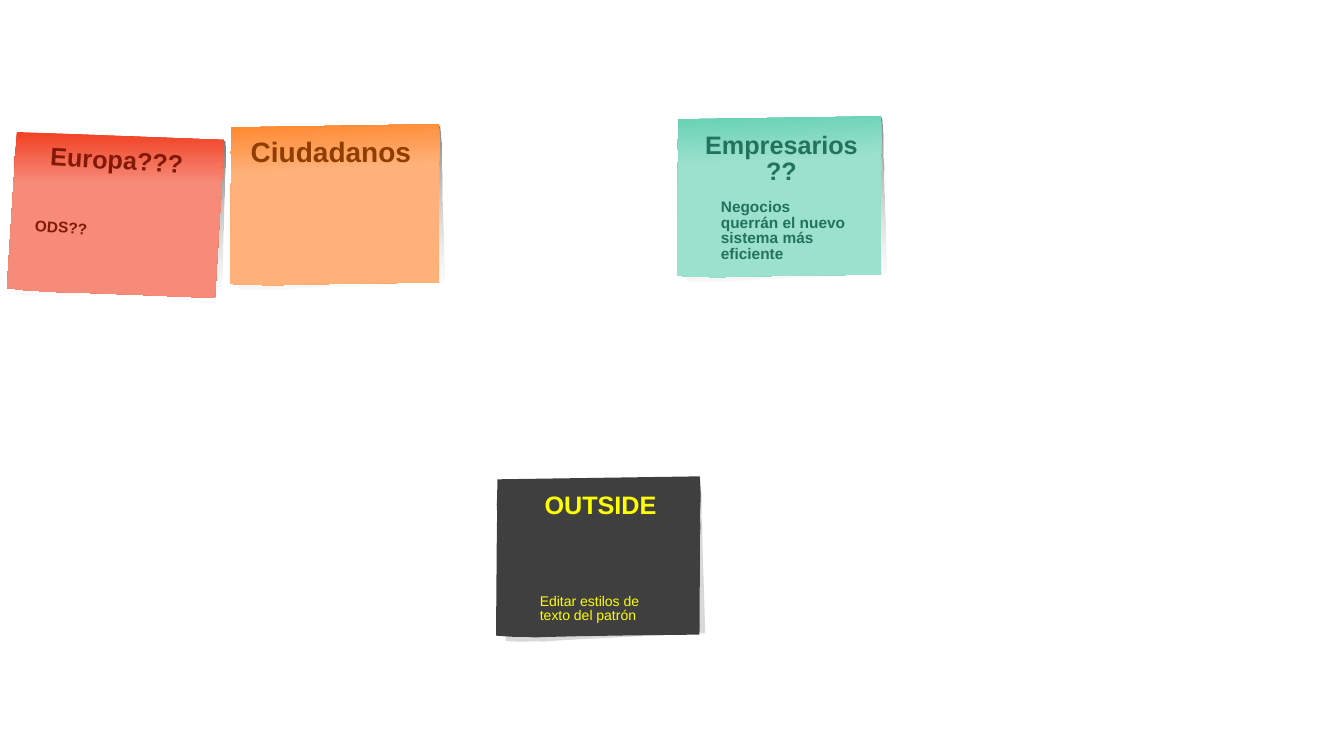
from dataclasses import dataclass

from lxml.etree import SubElement
from pptx import Presentation
from pptx.dml.color import RGBColor
from pptx.enum.text import PP_ALIGN as Align
from pptx.oxml.ns import qn
from pptx.shapes.autoshape import Shape
from pptx.shapes.shapetree import SlideShapes
from pptx.util import Inches, Pt

PX = Inches(1) / 100.8
FONT = "Arial"

# Curled sheet, clockwise from its top right corner.
SHEET = [
    (217, 8), (217, 27), (216, 38), (215, 48), (215, 58), (214, 67), (213, 81),
    (211, 117), (208, 166), (136, 163), (83, 161), (48, 160), (40, 160),
    (32, 159), (16, 158), (0, 156), (7, 46), (8, 35), (8, 25), (9, 16), (10, 0),
]


@dataclass(frozen=True)
class Stop:
    """A gradient stop, with position and opacity in percent."""
    position: int
    color: str
    opacity: int = 100


@dataclass(frozen=True)
class Label:
    """A text block on a note."""
    text: str
    left: int
    top: int
    width: int
    height: int
    size: int
    bold: bool = True
    centered: bool = False
    tilt: float = 0


@dataclass(frozen=True)
class Note:
    """A sticky note with its shadow and its labels."""
    left: int
    top: int
    width: int
    tilt: float
    ink: str
    paper: list[Stop]
    shadow: list[Stop]
    labels: list[Label]
    height: int = 166


def emu(pixels: float) -> int:
    """Turn pixels into EMU."""
    return round(pixels * PX)


def rgb(color: str) -> RGBColor:
    """Turn a hex string into a colour."""
    return RGBColor.from_string(color)


def fade(top: str, bottom: str) -> list[Stop]:
    """Give the paper shading that ends below the glued edge."""
    return [Stop(0, top), Stop(31, bottom), Stop(100, bottom)]


def fill_sheet(sheet: Shape, stops: list[Stop]) -> None:
    """Fill with one colour, or with a gradient running downwards."""
    sheet.fill.solid()
    sheet.fill.fore_color.rgb = rgb(stops[0].color)
    if len(stops) == 1:
        return
    solid = sheet.element.spPr.find(qn("a:solidFill"))
    gradient = solid.makeelement(qn("a:gradFill"), {"rotWithShape": "1"})
    solid.getparent().replace(solid, gradient)
    stop_list = SubElement(gradient, qn("a:gsLst"))
    for stop in stops:
        mark = SubElement(stop_list, qn("a:gs"), pos=str(stop.position * 1000))
        color = SubElement(mark, qn("a:srgbClr"), val=stop.color)
        if stop.opacity < 100:
            SubElement(color, qn("a:alpha"), val=str(stop.opacity * 1000))
    SubElement(gradient, qn("a:lin"), ang="5400000", scaled="0")


def draw_sheet(shapes: SlideShapes, left: int, top: int, width: int, height: int,
               tilt: float, stops: list[Stop]) -> None:
    """Draw the curled outline stretched to a frame."""
    builder = shapes.build_freeform(*SHEET[0], scale=PX)
    builder.add_line_segments(SHEET[1:], close=True)
    sheet = builder.convert_to_shape()
    sheet.left, sheet.top = emu(left), emu(top)
    sheet.width, sheet.height = emu(width), emu(height)
    sheet.rotation = tilt
    sheet.shadow.inherit = False
    sheet.line.fill.background()
    fill_sheet(sheet, stops)


def draw_label(shapes: SlideShapes, label: Label, ink: str) -> None:
    """Write one label in the ink of its note."""
    box = shapes.add_textbox(emu(label.left), emu(label.top),
                             emu(label.width), emu(label.height))
    box.rotation = label.tilt
    frame = box.text_frame
    frame.word_wrap = True
    frame.text = label.text
    paragraph = frame.paragraphs[0]
    paragraph.line_spacing = 0.85
    paragraph.alignment = Align.CENTER if label.centered else Align.LEFT
    font = paragraph.runs[0].font
    font.name, font.size, font.bold = FONT, Pt(label.size), label.bold
    font.color.rgb = rgb(ink)


def draw_note(shapes: SlideShapes, note: Note) -> None:
    """Draw the shadow, the paper and the labels of a note."""
    draw_sheet(shapes, note.left + 7, note.top + 5, note.width - 4,
               note.height - 3, note.tilt - 2, note.shadow)
    draw_sheet(shapes, note.left, note.top, note.width, note.height,
               note.tilt, note.paper)
    for label in note.labels:
        draw_label(shapes, label, note.ink)


SOFT_SHADOW = [Stop(0, "000000", 58), Stop(100, "949494", 0)]
LEAN = -3.1

NOTES = [
    Note(7, 132, 217, 0, "821908", fade("F14124", "F78B79"), SOFT_SHADOW, [
        Label("Europa???", 23, 144, 186, 58, 18, centered=True, tilt=3.5),
        Label("ODS??", 25, 219, 182, 22, 11, tilt=3.7),
    ]),
    Note(226, 122, 217, LEAN, "903D00", fade("FF8021", "FEB179"), SOFT_SHADOW, [
        Label("Ciudadanos", 237, 135, 188, 55, 20, centered=True),
    ]),
    Note(673, 114, 212, LEAN, "22725C", fade("5DCEAF", "9CE1CE"), SOFT_SHADOW, [
        Label("Empresarios??", 695, 129, 173, 57, 18, centered=True),
        Label("Negocios querrán el nuevo sistema más eficiente",
              711, 195, 150, 22, 11),
    ]),
    Note(492, 474, 212, LEAN, "FFFF00", [Stop(0, "3F3F3F")], [Stop(0, "D8D8D8")], [
        Label("OUTSIDE", 514, 489, 173, 57, 18, centered=True),
        Label("Editar estilos de texto del patrón",
              530, 590, 150, 42, 10, bold=False),
    ]),
]


def main() -> None:
    """Build the slide and save it."""
    deck = Presentation()
    deck.slide_width, deck.slide_height = emu(1344), emu(756)
    slide = deck.slides.add_slide(deck.slide_layouts[6])
    for note in NOTES:
        draw_note(slide.shapes, note)
    deck.save("out.pptx")


main()
